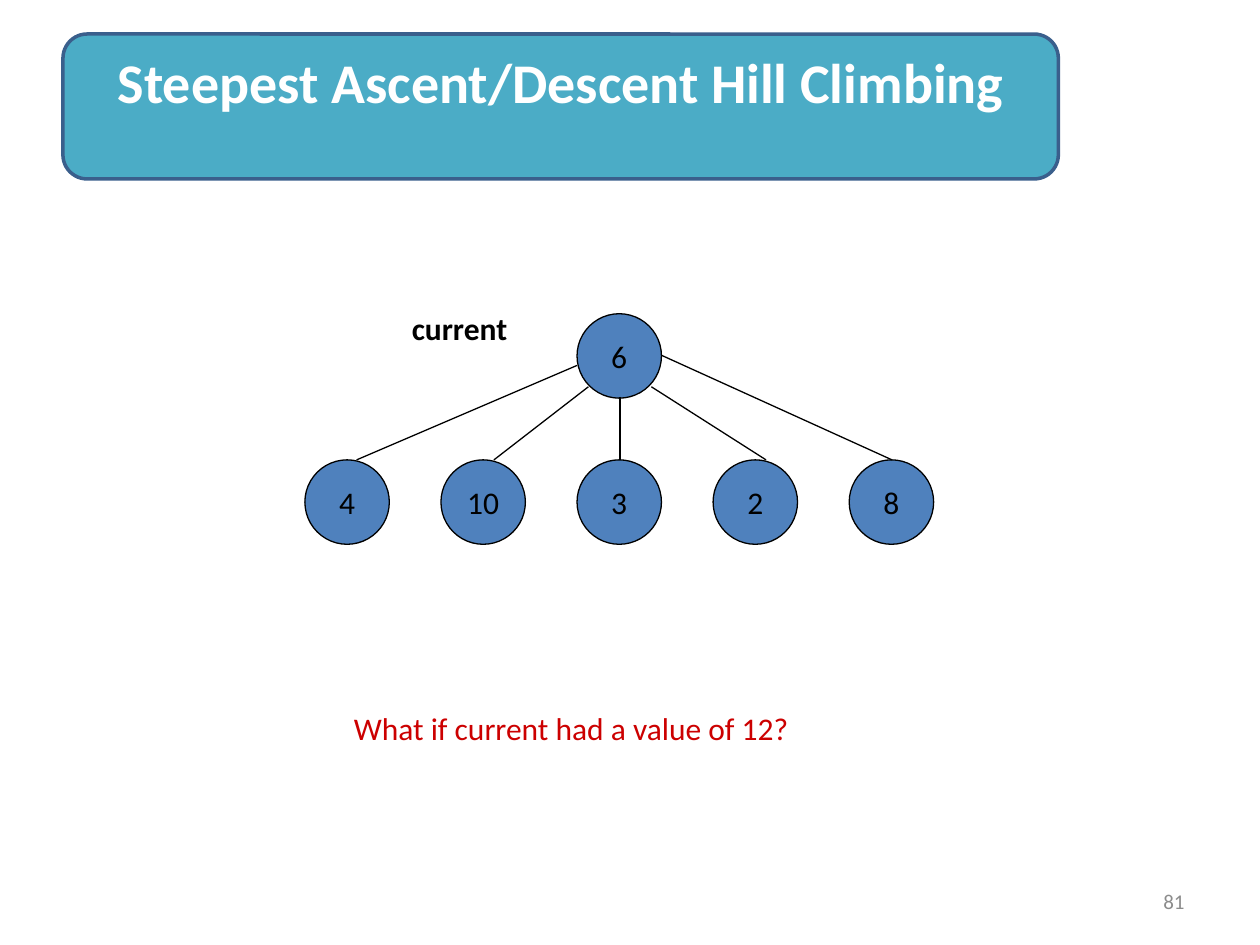
from dataclasses import dataclass

from lxml.etree import SubElement
from pptx import Presentation
from pptx.dml.color import RGBColor
from pptx.enum.shapes import MSO_CONNECTOR as Link, MSO_SHAPE as Shape
from pptx.enum.text import MSO_ANCHOR as Anchor, MSO_AUTO_SIZE as Fit, PP_ALIGN as Align
from pptx.oxml.ns import qn
from pptx.util import Inches, Pt

SIZE = 0.67
STEP = 1.08
LEFT = 2.42
ROOT_TOP = 2.49
LEAF_TOP = 3.65
BLACK = "000000"


@dataclass
class Node:
    label: str
    left: float
    top: float


@dataclass
class Edge:
    x1: float
    y1: float
    x2: float


@dataclass
class Label:
    text: str
    box: tuple
    size: int
    color: str
    bold: bool = False
    align: Align = Align.LEFT
    anchor: Anchor = Anchor.TOP
    wrap: bool = False


def color(code: str) -> RGBColor:
    return RGBColor.from_string(code)


def place(shape, box: tuple) -> None:
    shape.left, shape.top, shape.width, shape.height = map(Inches, box)


def write(shape, item: Label) -> None:
    frame = shape.text_frame
    frame.text = item.text
    frame.auto_size = Fit.NONE
    frame.word_wrap = item.wrap
    frame.vertical_anchor = item.anchor
    para = frame.paragraphs[0]
    para.alignment = item.align
    font = para.runs[0].font
    font.name = "Calibri"
    font.size = Pt(item.size)
    font.bold = item.bold
    font.color.rgb = color(item.color)


def add_shape(slide, kind: Shape, box: tuple, fill: str, line: str, width: float):
    shape = slide.shapes.add_shape(kind, *map(Inches, box))
    shape.shadow.inherit = False
    shape.fill.solid()
    shape.fill.fore_color.rgb = color(fill)
    shape.line.color.rgb = color(line)
    shape.line.width = Pt(width)
    return shape


def add_node(slide, node: Node) -> None:
    box = (node.left, node.top, SIZE, SIZE)
    shape = add_shape(slide, Shape.OVAL, box, "4F81BD", BLACK, 0.75)
    write(shape, Label(node.label, box, 18, BLACK,
                       align=Align.CENTER, anchor=Anchor.MIDDLE))


def add_edge(slide, edge: Edge) -> None:
    ends = map(Inches, (edge.x1, edge.y1, edge.x2, LEAF_TOP))
    line = slide.shapes.add_connector(Link.STRAIGHT, *ends)
    line.line.color.rgb = color(BLACK)
    line.line.width = Pt(0.75)
    SubElement(line._element.spPr, qn("a:effectLst"))


def add_label(slide, item: Label) -> None:
    write(slide.shapes.add_textbox(*map(Inches, item.box)), item)


def add_title(slide, item: Label) -> None:
    banner = add_shape(slide, Shape.ROUNDED_RECTANGLE, (0.5, 0.27, 7.9, 1.15),
                       "4BACC6", "3A5F8C", 2)
    title = slide.shapes.title
    place(title, item.box)
    write(title, item)
    banner._element.addnext(title._element)


EDGES = [
    Edge(4.92, 3.15, 4.92),
    Edge(4.67, 3.07, 3.92),
    Edge(5.17, 3.07, 6.08),
    Edge(4.58, 2.9, 2.83),
    Edge(5.25, 2.82, 7.08),
]
LABELS = [
    Label("current", (3.17, 2.4, 0.96, 0.4), 18, BLACK, bold=True),
    Label("What if current had a value of 12?", (2.71, 5.58, 5.25, 0.51),
          18, "CC0000"),
    Label("81", (7.17, 6.95, 2.33, 0.4), 12, "8C8C8C",
          align=Align.RIGHT, anchor=Anchor.MIDDLE, wrap=True),
]
TITLE = Label("Steepest Ascent/Descent Hill Climbing", (0.58, 0.33, 7.75, 0.64),
              32, "FFFFFF", bold=True, align=Align.CENTER, wrap=True)


def main() -> None:
    deck = Presentation()
    deck.slide_width, deck.slide_height = Inches(10), Inches(7.5)
    slide = deck.slides.add_slide(deck.slide_layouts[5])
    add_node(slide, Node("6", LEFT + 2 * STEP, ROOT_TOP))
    for i, value in enumerate(("4", "10", "3", "2", "8")):
        add_node(slide, Node(value, LEFT + i * STEP, LEAF_TOP))
    for edge in EDGES:
        add_edge(slide, edge)
    for item in LABELS:
        add_label(slide, item)
    add_title(slide, TITLE)
    deck.save("out.pptx")


if __name__ == "__main__":
    main()
